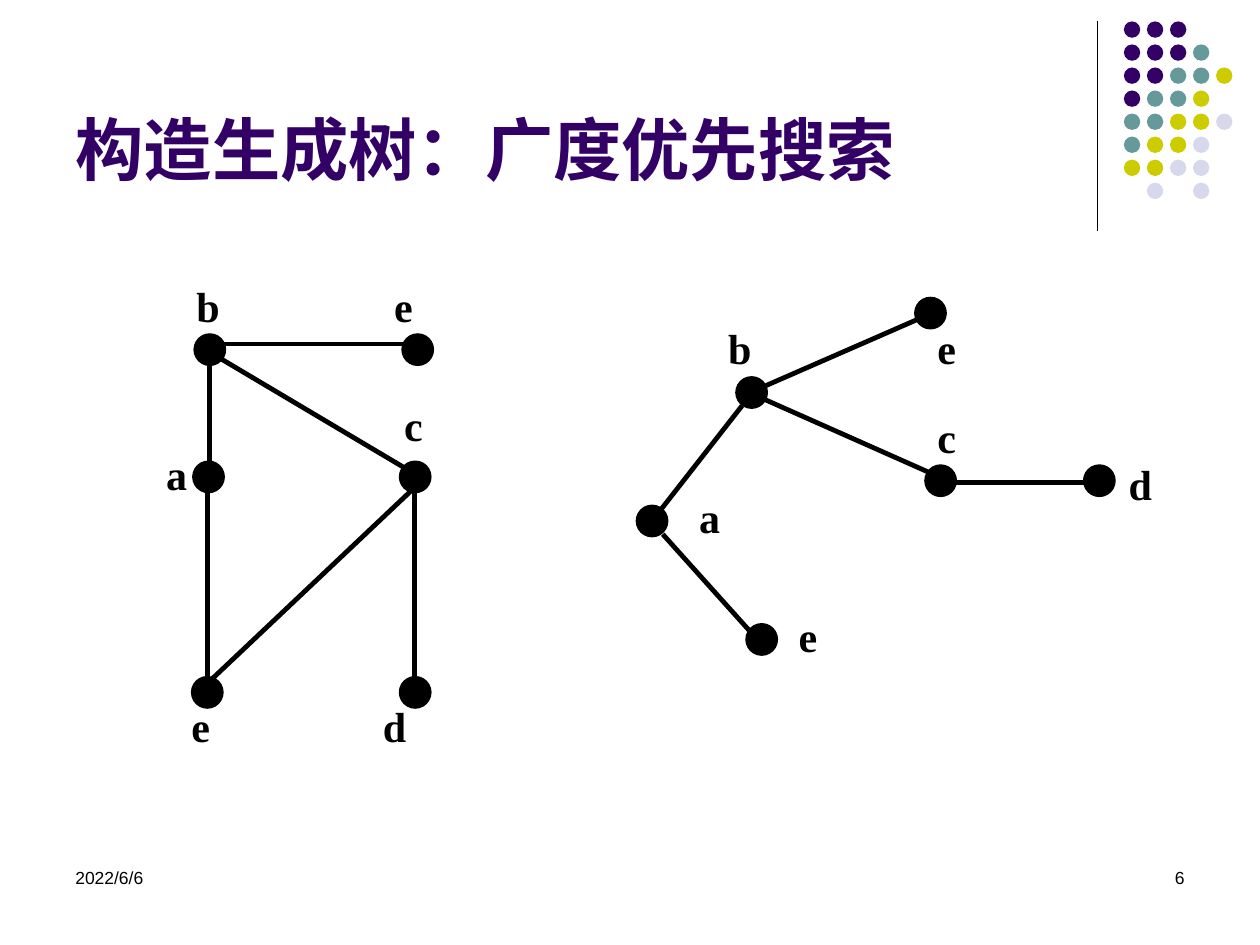
from dataclasses import dataclass

from lxml import etree
from pptx import Presentation
from pptx import util as u
from pptx.dml.color import RGBColor
from pptx.enum import shapes, text
from pptx.oxml.ns import qn


@dataclass(frozen=True)
class Theme:
    """Colours, fonts and type sizes of the slide."""
    ink: str = "000000"
    plum: str = "330066"
    teal: str = "669999"
    lime: str = "CCCC00"
    mist: str = "D8D8EC"
    sans: str = "Arial"
    serif: str = "Times New Roman"
    head: int = 39
    name: int = 24
    foot: int = 10
    edge: float = 2.75
    thin: float = 0.75


THEME = Theme()
DOTS = ("PPP", "PPPT", "PPTTL", "PTTL", "TTLLM", "TLLM", "LLMM", " M M")
HUES = {"P": THEME.plum, "T": THEME.teal, "L": THEME.lime, "M": THEME.mist}

GRAPH_EDGES = (
    (1.66, 3.68, 1.66, 2.88), (3.29, 3.87, 1.65, 5.42),
    (3.29, 3.87, 3.29, 5.4), (1.65, 3.87, 1.65, 5.4),
    (1.69, 2.81, 3.29, 3.76), (3.27, 2.73, 1.77, 2.73),
)
GRAPH_NODES = (
    ("a", 1.53, 3.66, 1.22, 3.51), ("b", 1.54, 2.65, 1.46, 2.18),
    ("c", 3.17, 3.66, 3.11, 3.12), ("d", 3.17, 5.37, 2.94, 5.51),
    ("e", 1.52, 5.37, 1.42, 5.51), ("e", 3.19, 2.65, 3.03, 2.18),
)
TREE_EDGES = (
    (5.21, 4.09, 5.89, 3.22), (5.26, 4.24, 5.97, 5.03),
    (7.57, 3.83, 8.68, 3.83), (6, 3.14, 7.42, 3.77),
    (7.34, 2.51, 6.08, 3.06),
)
TREE_NODES = (
    ("a", 5.05, 4.01, 5.45, 3.85), ("b", 5.84, 2.99, 5.68, 2.51),
    ("c", 7.34, 3.69, 7.34, 3.22), ("d", 8.6, 3.69, 8.86, 3.59),
    ("e", 7.26, 2.36, 7.34, 2.51), ("e", 5.92, 4.95, 6.24, 4.8),
)


def add_run(para, words, font, size, hue, bold=False):
    """Add one formatted run to a paragraph."""
    run = para.add_run()
    run.text = words
    run.font.name = font
    run.font.size = u.Pt(size)
    run.font.bold = bold
    run.font.color.rgb = RGBColor.from_string(hue)


def add_title(slide, words):
    """Place and fill the title placeholder."""
    title = slide.shapes.title
    title.left, title.top = u.Inches(0.5), u.Inches(0.13)
    title.width, title.height = u.Inches(8.25), u.Inches(1.42)
    frame = title.text_frame
    frame.auto_size = text.MSO_AUTO_SIZE.NONE
    frame.vertical_anchor = text.MSO_ANCHOR.BOTTOM
    para = frame.paragraphs[0]
    para.alignment = text.PP_ALIGN.LEFT
    add_run(para, words, THEME.sans, THEME.head, THEME.plum, True)


def add_text(slide, words, box, font, size, bold=False, align=text.PP_ALIGN.LEFT):
    """Add a wrapped text box holding one run."""
    frame = slide.shapes.add_textbox(*map(u.Inches, box)).text_frame
    frame.word_wrap = True
    para = frame.paragraphs[0]
    para.alignment = align
    add_run(para, words, font, size, THEME.ink, bold)


def add_line(slide, ends, width):
    """Add a straight black line without a shadow."""
    line = slide.shapes.add_connector(
        shapes.MSO_CONNECTOR.STRAIGHT, *map(u.Inches, ends))
    line.line.width = u.Pt(width)
    line.line.color.rgb = RGBColor.from_string(THEME.ink)
    etree.SubElement(line._element.spPr, qn("a:effectLst"))


def add_dot(slide, box, hue, rim=0):
    """Add a filled ellipse, with a rim of its own colour if asked."""
    dot = slide.shapes.add_shape(shapes.MSO_SHAPE.OVAL, *map(u.Inches, box))
    dot.shadow.inherit = False
    dot.fill.solid()
    dot.fill.fore_color.rgb = RGBColor.from_string(hue)
    if rim:
        dot.line.width = u.Pt(rim)
        dot.line.color.rgb = RGBColor.from_string(hue)
    else:
        dot.line.fill.background()


def add_motif(slide):
    """Draw the corner rule and its grid of coloured dots."""
    add_line(slide, (8.71, 0.17, 8.71, 1.83), THEME.thin)
    pitch = 1.28 / 7
    for row, keys in enumerate(DOTS):
        for col, key in enumerate(keys):
            if key in HUES:
                box = (8.92 + col * pitch, 0.17 + row * pitch, 0.13, 0.13)
                add_dot(slide, box, HUES[key])


def add_graph(slide, edges, nodes):
    """Draw the edges of a graph, then its named nodes."""
    for ends in edges:
        add_line(slide, ends, THEME.edge)
    for name, left, top, name_left, name_top in nodes:
        add_dot(slide, (left, top, 0.25, 0.25), THEME.ink, THEME.thin)
        add_text(slide, name, (name_left, name_top, 0.55, 0.5),
                 THEME.serif, THEME.name, True)


def main():
    """Build and save the slide."""
    deck = Presentation()
    deck.slide_width, deck.slide_height = u.Inches(10), u.Inches(7.5)
    slide = deck.slides.add_slide(deck.slide_layouts[5])
    add_motif(slide)
    add_title(slide, "构造生成树：广度优先搜索")
    add_graph(slide, TREE_EDGES, TREE_NODES)
    add_graph(slide, GRAPH_EDGES, GRAPH_NODES)
    add_text(slide, "2022/6/6", (0.5, 6.83, 2.33, 0.5), THEME.sans, THEME.foot)
    add_text(slide, "6", (7.17, 6.83, 2.33, 0.5), THEME.sans, THEME.foot,
             align=text.PP_ALIGN.RIGHT)
    deck.save("out.pptx")


if __name__ == "__main__":
    main()
